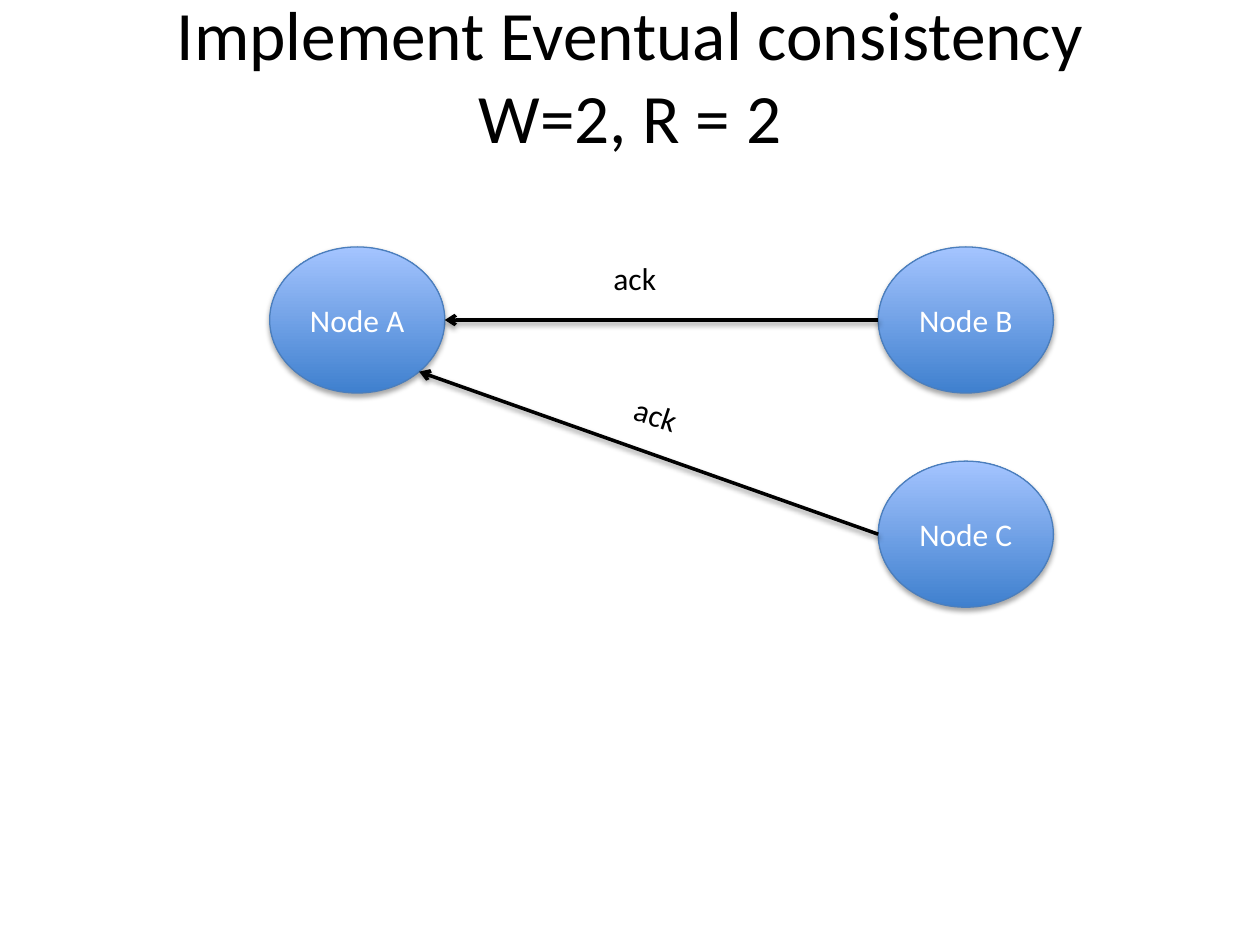
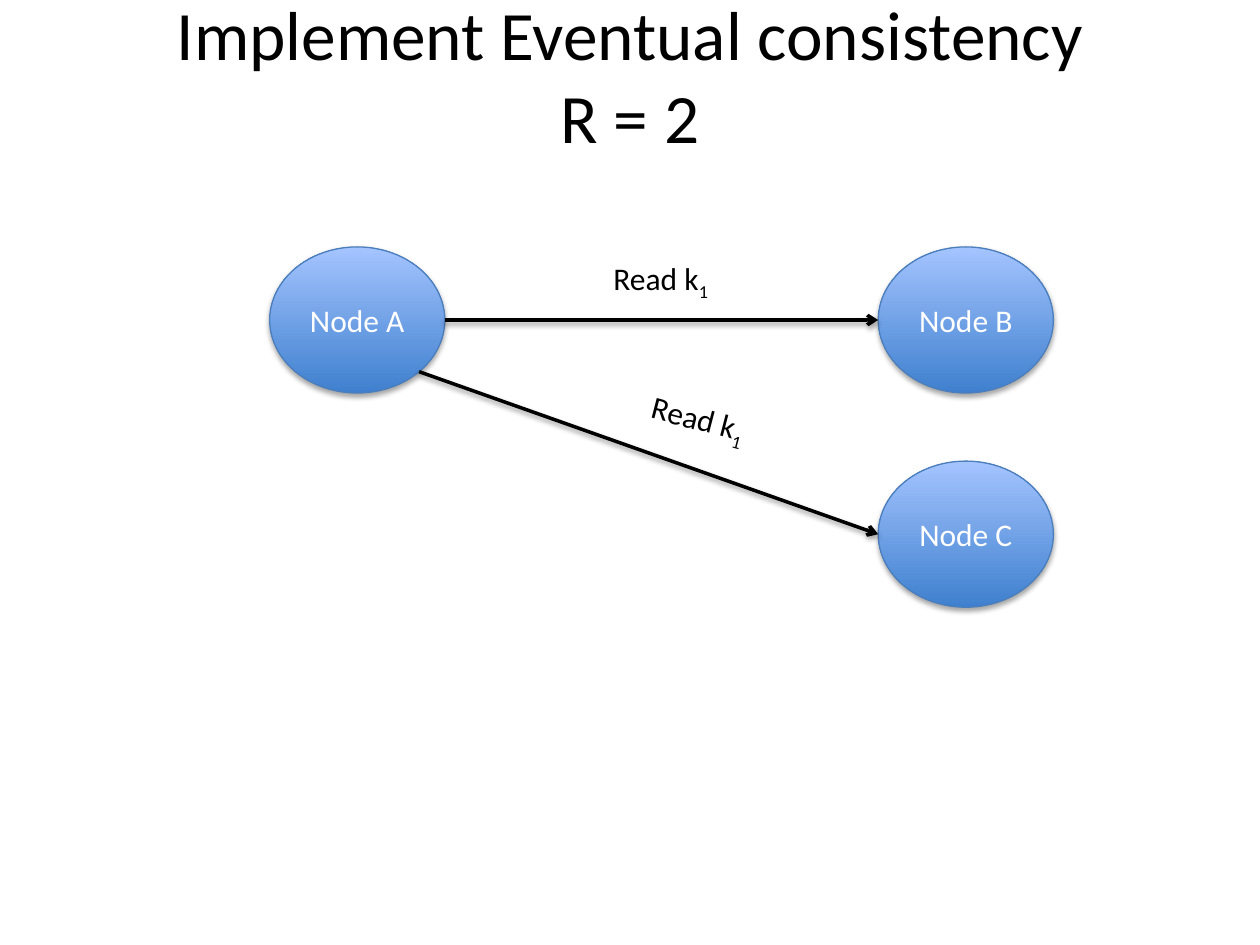
"""Build two slides showing acknowledgements and reads between three nodes."""
from dataclasses import dataclass
from math import sqrt

from lxml import etree
from pptx import Presentation
from pptx.dml.color import RGBColor
from pptx.enum import shapes, text
from pptx.oxml import ns
from pptx.util import Inches, Pt


@dataclass(frozen=True)
class Theme:
    font: str = "Calibri"
    title_size: float = 39.6
    text_size: float = 18
    ink: str = "000000"
    node_text: str = "FFFFFF"
    node_bottom: str = "3F80CE"
    node_top: str = "A4C4FF"
    node_line: str = "4B7EBC"
    node_line_width: float = 0.75
    arrow_width: float = 2


@dataclass(frozen=True)
class Node:
    name: str
    left: float
    top: float
    width: float = 1.39
    height: float = 1.16

    def edge(self, dx: float, dy: float) -> tuple[float, float]:
        """Return the rim point in the unit direction (dx, dy)."""
        return (self.left + self.width * (1 + dx) / 2,
                self.top + self.height * (1 + dy) / 2)


@dataclass(frozen=True)
class Label:
    left: float
    top: float
    rotation: float = 0


@dataclass(frozen=True)
class Scene:
    title: str
    message: str
    subscript: str
    label_width: float
    labels: tuple[Label, Label]
    toward_a: bool


THEME = Theme()
NODE_A = Node("Node A", 2.14, 1.96)
NODE_B = Node("Node B", 6.97, 1.96)
NODE_C = Node("Node C", 6.97, 3.66)
NODES = (NODE_A, NODE_B, NODE_C)
DIAGONAL = 1 / sqrt(2)
LINKS = (
    (NODE_A.edge(1, 0), NODE_B.edge(-1, 0)),
    (NODE_A.edge(DIAGONAL, DIAGONAL), NODE_C.edge(-1, 0)),
)
SCENES = (
    Scene("Implement Eventual consistency\vW=2, R = 2", "ack", "", 0.54,
          (Label(4.77, 2.01), Label(4.94, 3.09, 18.2)), True),
    Scene("Implement Eventual consistency\vR = 2", "Read k", "1", 0.98,
          (Label(4.77, 2.01), Label(5.07, 3.12, 14.6)), False),
)


def rgb(color: str) -> RGBColor:
    """Convert a hex colour."""
    return RGBColor.from_string(color)


def write(tf, content: str, *, size: float = THEME.text_size,
          color: str = THEME.ink, align=text.PP_ALIGN.LEFT,
          subscript: str = "") -> None:
    """Write one formatted paragraph with an optional subscript."""
    p = tf.paragraphs[0]
    p.text = content
    p.alignment = align
    if subscript:
        r = p.add_run()
        r.text = subscript
        r.font._element.set("baseline", "-25000")
    for r in p.runs:
        r.font.name = THEME.font
        r.font.size = Pt(size)
        r.font.color.rgb = rgb(color)


def add_shadow(sp, distance: float, opacity: int) -> None:
    """Give a shape or connector a soft shadow straight below it."""
    effects = etree.SubElement(sp._element.spPr, ns.qn("a:effectLst"))
    shadow = etree.SubElement(
        effects, ns.qn("a:outerShdw"), blurRad=str(Pt(3.1)),
        dist=str(Pt(distance)), dir="5400000", rotWithShape="0")
    color = etree.SubElement(shadow, ns.qn("a:srgbClr"), val=THEME.ink)
    etree.SubElement(color, ns.qn("a:alpha"), val=str(opacity * 1000))


def set_title(s, title: str) -> None:
    """Place the two-line title high in its placeholder."""
    sp = s.shapes.title
    sp.left, sp.top = Inches(0.5), Inches(0.3)
    sp.width, sp.height = Inches(9), Inches(1.25)
    tf = sp.text_frame
    tf.auto_size = text.MSO_AUTO_SIZE.NONE
    tf.vertical_anchor = text.MSO_ANCHOR.MIDDLE
    tf.margin_bottom = Inches(0.72)
    write(tf, title, size=THEME.title_size, align=text.PP_ALIGN.CENTER)


def add_node(s, node: Node) -> None:
    """Draw a node as a shaded ellipse."""
    sp = s.shapes.add_shape(
        shapes.MSO_SHAPE.OVAL, Inches(node.left), Inches(node.top),
        Inches(node.width), Inches(node.height))
    sp.fill.gradient()
    sp.fill.gradient_angle = 90
    for stop, color in zip(sp.fill.gradient_stops,
                           (THEME.node_bottom, THEME.node_top)):
        stop.color.rgb = rgb(color)
    sp.line.color.rgb = rgb(THEME.node_line)
    sp.line.width = Pt(THEME.node_line_width)
    add_shadow(sp, 1.8, 35)
    sp.text_frame.vertical_anchor = text.MSO_ANCHOR.MIDDLE
    write(sp.text_frame, node.name, color=THEME.node_text,
          align=text.PP_ALIGN.CENTER)


def add_arrow(s, start: tuple[float, float], end: tuple[float, float]) -> None:
    """Draw an arrow from start to end."""
    sp = s.shapes.add_connector(
        shapes.MSO_CONNECTOR.STRAIGHT, *map(Inches, start + end))
    sp.line.color.rgb = rgb(THEME.ink)
    sp.line.width = Pt(THEME.arrow_width)
    etree.SubElement(sp.line._get_or_add_ln(), ns.qn("a:tailEnd"), type="arrow")
    add_shadow(sp, 1.6, 38)


def add_label(s, label: Label, scene: Scene) -> None:
    """Write the scene's message beside an arrow."""
    sp = s.shapes.add_textbox(
        Inches(label.left), Inches(label.top),
        Inches(scene.label_width), Inches(0.4))
    sp.rotation = label.rotation
    tf = sp.text_frame
    tf.word_wrap = False
    tf.auto_size = text.MSO_AUTO_SIZE.SHAPE_TO_FIT_TEXT
    write(tf, scene.message, subscript=scene.subscript)


def add_scene(prs, scene: Scene) -> None:
    """Add one slide with its nodes, arrows and labels."""
    s = prs.slides.add_slide(prs.slide_layouts.get_by_name("Title Only"))
    set_title(s, scene.title)
    for node in NODES:
        add_node(s, node)
    for (near, far), label in zip(LINKS, scene.labels):
        start, end = (far, near) if scene.toward_a else (near, far)
        add_arrow(s, start, end)
        add_label(s, label, scene)


def main() -> None:
    """Build and save the presentation."""
    prs = Presentation()
    prs.slide_width, prs.slide_height = Inches(10), Inches(7.5)
    for scene in SCENES:
        add_scene(prs, scene)
    prs.save("out.pptx")


if __name__ == "__main__":
    main()
